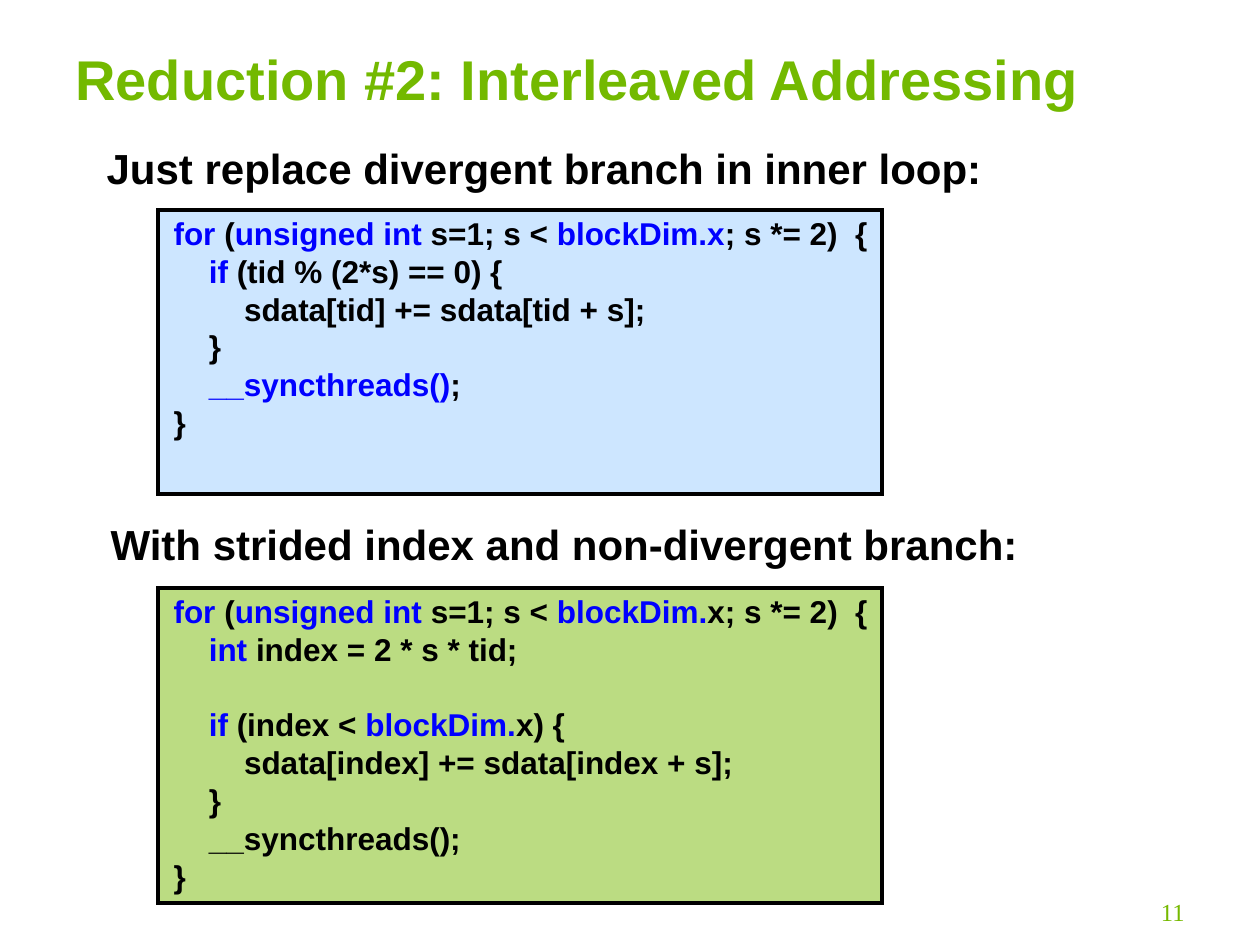
import pptx
import pptx.dml.color
import pptx.enum.shapes
import pptx.enum.text
import pptx.util
from lxml import etree

Cm, Pt = pptx.util.Cm, pptx.util.Pt
ALIGN = pptx.enum.text.PP_ALIGN

COLORS = {
    "title": "73B900",
    "number": "76B900",
    "text": "000000",
    "keyword": "0000FF",
    "before": "99CCFF",
    "after": "76B900",
}
LINE_FACTOR = 1.2
CODE_SIZE = 18
CODE_LINE = CODE_SIZE * LINE_FACTOR
INDENT = Cm(0.71)


def rgb(name):
    return pptx.dml.color.RGBColor.from_string(COLORS[name])


def style(paragraph, size, color="text", font="Arial", bold=True):
    paragraph.font.name = font
    paragraph.font.size = Pt(size)
    paragraph.font.bold = bold
    paragraph.font.color.rgb = rgb(color)
    paragraph.line_spacing = Pt(size * LINE_FACTOR)


presentation = pptx.Presentation()
presentation.slide_width = Cm(25.4)
presentation.slide_height = Cm(19.05)
slide = presentation.slides.add_slide(presentation.slide_layouts[6])

# Translucent panels with square corners behind the two code listings
for color, top, height in (("after", 11.86, 6.35), ("before", 4.24, 5.72)):
    panel = slide.shapes.add_shape(
        pptx.enum.shapes.MSO_SHAPE.RECTANGLE, Cm(3.18), Cm(top), Cm(14.6), Cm(height))
    panel.shadow.inherit = False
    panel.fill.solid()
    panel.fill.fore_color.rgb = rgb(color)
    fill_color = panel.fill._xPr.find(".//" + pptx.oxml.ns.qn("a:srgbClr"))
    etree.SubElement(fill_color, pptx.oxml.ns.qn("a:alpha"), val="49000")
    panel.line.color.rgb = rgb("text")
    panel.line.width = Pt(2.25)
    etree.SubElement(panel.line._get_or_add_ln(), pptx.oxml.ns.qn("a:miter"), lim="800000")

# Code lines: indent level, empty lines above, text with keywords in backticks
code_lines = [
    (1, 0, "`for `(`unsigned int` s=1; s < `blockDim.x`; s *= 2)  {"),
    (2, 0, "`if` (tid % (2*s) == 0) {"),
    (3, 0, "sdata[tid] += sdata[tid + s];"),
    (2, 0, "}"),
    (2, 0, "`__syncthreads()`;"),
    (1, 0, "}"),
    (1, 4, "`for `(`unsigned int `s=1; s < `blockDim.`x; s *= 2)  {"),
    (2, 0, "`int `index = 2 * s * tid;"),
    (2, 1, "`if `(index < `blockDim.`x) {"),
    (3, 0, "sdata[index] += sdata[index + s];"),
    (2, 0, "}"),
    (2, 0, "__syncthreads();"),
    (1, 0, "}"),
]
code = slide.shapes.add_textbox(Cm(2.54), Cm(4.19), Cm(19.89), Cm(13.97)).text_frame
code.word_wrap = True
for i, (level, empty_lines, text) in enumerate(code_lines):
    line = code.add_paragraph() if i else code.paragraphs[0]
    style(line, CODE_SIZE)
    line.space_before = Pt(empty_lines * CODE_LINE)
    line._p.get_or_add_pPr().set("marL", str(level * INDENT))
    for j, part in enumerate(text.split("`")):
        if part:
            run = line.add_run()
            run.text = part
            if j % 2:
                run.font.color.rgb = rgb("keyword")

# Title, headings and slide number
labels = [
    ("Reduction #2: Interleaved Addressing", (1.27, 0.78, 21.16, 1.63), ALIGN.LEFT,
     (32, "title")),
    ("Just replace divergent branch in inner loop:", (1.9, 2.74, 18.5, 1.27), ALIGN.LEFT,
     (24,)),
    ("With strided index and non-divergent branch:", (1.98, 10.32, 19.2, 1.27), ALIGN.LEFT,
     (24,)),
    ("11", (18.21, 17.96, 5.92, 0.89), ALIGN.RIGHT,
     (14, "number", "Times New Roman", False)),
]
for text, box, alignment, look in labels:
    label = slide.shapes.add_textbox(*map(Cm, box)).text_frame
    label.word_wrap = True
    label.text = text
    label.paragraphs[0].alignment = alignment
    style(label.paragraphs[0], *look)

presentation.save("out.pptx")
